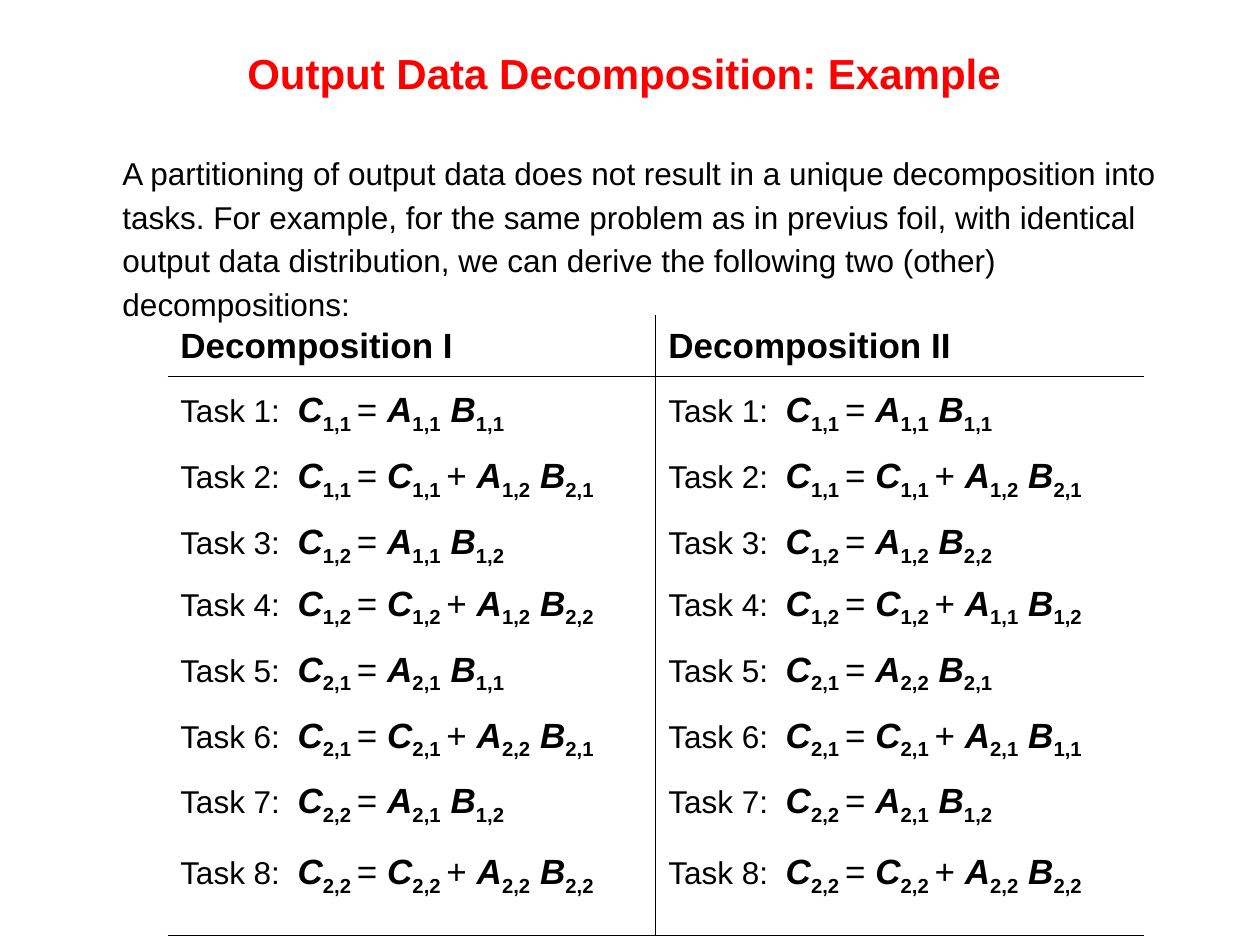
import pptx
import pptx.util
import pptx.dml.color
import pptx.enum.text
import pptx.oxml
import pptx.oxml.ns
from pptx.util import Cm

COLORS = {"title": "FF0000", "text": "000000", "rule": "000000"}
FONT = "Arial"

TITLE = "Output Data Decomposition: Example "
INTRO = ("A partitioning of output data does not result in a unique decomposition "
         "into tasks. For example, for the same problem as in previus foil, with "
         "identical output data distribution, we can derive the following two "
         "(other) decompositions:")

# Indices of C, A and B for each task; even tasks add to the C before them
DECOMPOSITIONS = {
    "Decomposition I": [
        ("1,1", "1,1", "1,1"), ("1,1", "1,2", "2,1"),
        ("1,2", "1,1", "1,2"), ("1,2", "1,2", "2,2"),
        ("2,1", "2,1", "1,1"), ("2,1", "2,2", "2,1"),
        ("2,2", "2,1", "1,2"), ("2,2", "2,2", "2,2"),
    ],
    "Decomposition II": [
        ("1,1", "1,1", "1,1"), ("1,1", "1,2", "2,1"),
        ("1,2", "1,2", "2,2"), ("1,2", "1,1", "1,2"),
        ("2,1", "2,2", "2,1"), ("2,1", "2,1", "1,1"),
        ("2,2", "2,1", "1,2"), ("2,2", "2,2", "2,2"),
    ],
}
TASK_SPACING = [1.2, 1.3, 1.3, 1.2, 1.3, 1.3, 1.3, 1.4]
COL_WIDTH = Cm(9.84)
ROW_HEIGHTS = [Cm(1.19), Cm(11.28)]
THIN, THICK = 0.45, 1.08


def style(r, size, color="text", bold=False, italic=False, sub=False):
    f = r.font
    f.name, f.size, f.bold, f.italic = FONT, pptx.util.Pt(size), bold, italic
    f.color.rgb = pptx.dml.color.RGBColor.from_string(COLORS[color])
    if sub:
        r._r.get_or_add_rPr().set("baseline", "-25000")


def space(p, lines, before):
    p.line_spacing = lines
    p.space_before = pptx.util.Pt(before)


def add_run(p, text, size=20, **look):
    r = p.add_run()
    r.text = text
    style(r, size, **look)


def add_matrix(p, name, index):
    add_run(p, name, bold=True, italic=True)
    add_run(p, index, bold=True, sub=True)


def write_task(p, number, c, a, b):
    add_run(p, f"Task {number}:  ", size=18)
    add_matrix(p, "C", c + " ")
    add_run(p, "= ")
    if number % 2 == 0:
        add_matrix(p, "C", c + " ")
        add_run(p, "+ ")
    add_matrix(p, "A", a)
    add_matrix(p, " B", b)


def set_borders(cell, widths):
    tcPr = cell._tc.get_or_add_tcPr()
    for side in "LRTB":
        width = widths.get(side)
        fill = (f'<a:solidFill><a:srgbClr val="{COLORS["rule"]}"/></a:solidFill>'
                if width else "<a:noFill/>")
        tcPr.append(pptx.oxml.parse_xml(
            f'<a:ln{side} {pptx.oxml.ns.nsdecls("a")} '
            f'w="{pptx.util.Pt(width or 0)}">{fill}</a:ln{side}>'))
    cell.fill.background()


prs = pptx.Presentation()
prs.slide_width, prs.slide_height = Cm(25.4), Cm(19.05)
s = prs.slides.add_slide(prs.slide_layouts[5])

# Title
sp = s.shapes.title
sp.left, sp.top, sp.width, sp.height = Cm(1.27), Cm(0.2), Cm(22.86), Cm(2.54)
tf = sp.text_frame
tf.text = TITLE
tf.vertical_anchor = pptx.enum.text.MSO_ANCHOR.MIDDLE
tf.paragraphs[0].alignment = pptx.enum.text.PP_ALIGN.CENTER
style(tf.paragraphs[0].runs[0], 24, "title", bold=True)

# Introduction
sp = s.shapes.add_textbox(Cm(1.27), Cm(2.87), Cm(22.86), Cm(3.68))
tf = sp.text_frame
tf.word_wrap = True
tf.text = INTRO
p = tf.paragraphs[0]
p._p.get_or_add_pPr().set("marL", str(Cm(0.95)))
space(p, 1.15, 4.5)
style(p.runs[0], 18)

# Table of the two decompositions
tbl = s.shapes.add_table(2, len(DECOMPOSITIONS), Cm(3.38), Cm(6.35),
                         COL_WIDTH * 2, sum(ROW_HEIGHTS)).table
tbl.first_row = tbl.horz_banding = False
for row, height in zip(tbl.rows, ROW_HEIGHTS):
    row.height = height

for col, (heading, tasks) in enumerate(DECOMPOSITIONS.items()):
    tbl.columns[col].width = COL_WIDTH
    inner = "R" if col == 0 else "L"
    head, body = tbl.cell(0, col), tbl.cell(1, col)
    set_borders(head, {inner: THIN, "B": THIN})
    set_borders(body, {inner: THIN, "T": THIN, "B": THICK})

    head.text_frame.text = heading
    p = head.text_frame.paragraphs[0]
    space(p, 1.15, 5)
    style(p.runs[0], 20, bold=True)

    tf = body.text_frame
    for number, (task, lines) in enumerate(zip(tasks, TASK_SPACING), 1):
        p = tf.paragraphs[0] if number == 1 else tf.add_paragraph()
        space(p, lines, 4.5)
        write_task(p, number, *task)

prs.save("out.pptx")
